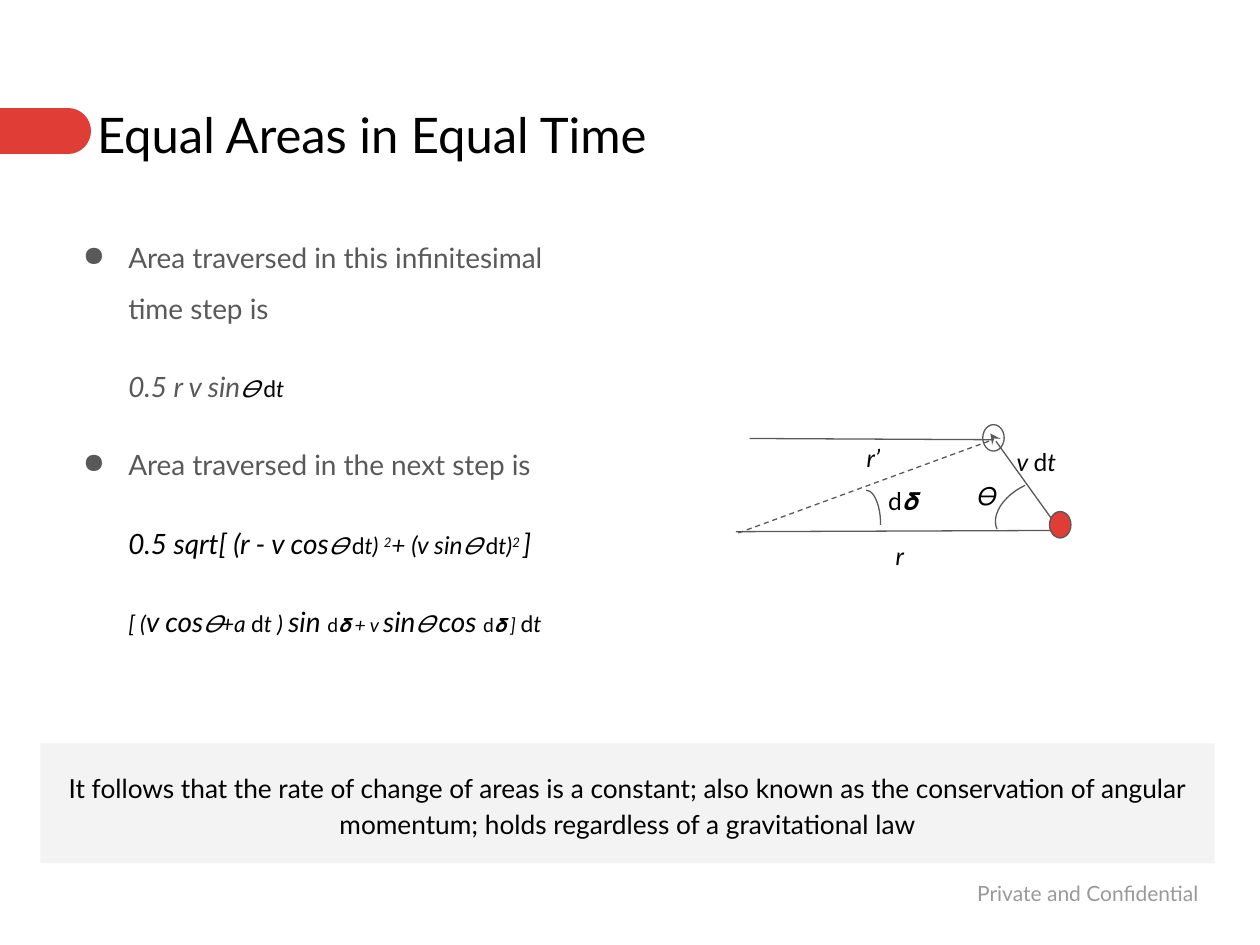
from lxml.etree import SubElement
from pptx import Presentation
from pptx.dml.color import RGBColor
from pptx.enum.dml import MSO_LINE
from pptx.enum.shapes import MSO_CONNECTOR, MSO_SHAPE
from pptx.enum.text import MSO_ANCHOR, MSO_AUTO_SIZE, PP_ALIGN
from pptx.oxml.ns import qn
from pptx.util import Inches, Pt

RED, GRAY, BLACK = "E03D37", "595959", "000000"
FRAME = dict(word_wrap=True, auto_size=MSO_AUTO_SIZE.NONE, vertical_anchor=MSO_ANCHOR.TOP,
             margin_left=Inches(0.1), margin_right=Inches(0.1),
             margin_top=Inches(0.1), margin_bottom=Inches(0.1))


def color(value):
    """Turn a hex string into a colour."""
    return RGBColor.from_string(value)


def apply(target, **values):
    """Set each named value on the target."""
    for name, value in values.items():
        setattr(target, name, value)


def place(shape, box):
    """Move and size a shape to a box in inches."""
    apply(shape, **dict(zip(("left", "top", "width", "height"), map(Inches, box))))


def add_run(paragraph, text, size, hex_color=BLACK, italic=False, baseline=0):
    """Append a formatted run to a paragraph."""
    run = paragraph.add_run()
    run.text = text
    apply(run.font, name="Lato", size=Pt(size), italic=italic)
    run.font.color.rgb = color(hex_color)
    if baseline:
        run.font._element.set("baseline", str(baseline * 1000))


def add_text(slide, box, runs, align=PP_ALIGN.LEFT, **frame_values):
    """Add a one-paragraph text box."""
    text_box = slide.shapes.add_textbox(*map(Inches, box))
    apply(text_box.text_frame, **{**FRAME, **frame_values})
    paragraph = text_box.text_frame.paragraphs[0]
    paragraph.alignment = align
    for run in runs:
        add_run(paragraph, *run)


def add_line(slide, start, end, hex_color=GRAY, width=0.75, dash=None):
    """Add a straight line without a shadow."""
    line = slide.shapes.add_connector(MSO_CONNECTOR.STRAIGHT, *map(Inches, (*start, *end)))
    SubElement(line._element.spPr, qn("a:effectLst"))
    line.line.color.rgb = color(hex_color)
    apply(line.line, width=Pt(width), dash_style=dash)
    return line


def add_figure(slide, kind, box, fill=None, outline=GRAY, rotation=0):
    """Add a preset shape with an optional fill and outline."""
    shape = slide.shapes.add_shape(kind, *map(Inches, box))
    shape.shadow.inherit = False
    shape.rotation = rotation
    for part, value in ((shape.fill, fill), (shape.line.fill, outline)):
        if value:
            part.solid()
            part.fore_color.rgb = color(value)
        else:
            part.background()
    if outline:
        shape.line.width = Pt(0.75)
    return shape


def add_title(slide, box):
    """Place the slide title and its rounded red marker."""
    marker = add_line(slide, (-0.07, 1.04), (0.54, 1.04), RED, 26.25)
    marker.line._ln.set("cap", "rnd")
    title = slide.shapes.title
    place(title, box)
    apply(title.text_frame, **FRAME)
    paragraph = title.text_frame.paragraphs[0]
    paragraph.alignment = PP_ALIGN.LEFT
    add_run(paragraph, "Equal Areas in Equal Time", 28)


def add_derivation(slide, box):
    """Write the bulleted statements and their formulas."""
    theta, upright, time = ("𝛳 ", 13, BLACK, True), ("d", 13), ("t", 13, BLACK, True)
    small_d = ("d", 11)
    statements = [
        (True, [("Area traversed in this infinitesimal time step is", 16, GRAY)]),
        (False, [("0.5 r v sin", 16, GRAY, True), theta, upright, time]),
        (True, [("Area traversed in the next step is", 16, GRAY)]),
        (False, [("0.5 sqrt[ (r - v cos", 16, BLACK, True), theta, upright,
                 ("t) ", 13, BLACK, True), ("2", 13, BLACK, True, 30),
                 ("+ (v sin", 14, BLACK, True), theta, upright,
                 ("t)", 13, BLACK, True), ("2 ", 13, BLACK, True, 30),
                 ("]", 16, BLACK, True)]),
        (False, [("[ (", 13, BLACK, True), ("v cos", 16, BLACK, True),
                 ("𝛳+a ", 13, BLACK, True), upright, ("t ) ", 13, BLACK, True),
                 ("sin ", 16, BLACK, True), small_d, ("𝛅 + v ", 11, BLACK, True),
                 ("sin", 16, BLACK, True), theta, ("cos ", 16, BLACK, True),
                 small_d, ("𝛅 ] ", 11, BLACK, True), upright, time]),
    ]
    frame = slide.shapes.add_textbox(*map(Inches, box)).text_frame
    apply(frame, **FRAME)
    for index, (bulleted, runs) in enumerate(statements):
        paragraph = frame.add_paragraph() if index else frame.paragraphs[0]
        apply(paragraph, line_spacing=1.5, space_before=Pt(16 if index else 0))
        properties = paragraph._p.get_or_add_pPr()
        properties.set("marL", str(Inches(0.5)))
        properties.set("indent", str(Inches(-0.36 if bulleted else 0)))
        if bulleted:
            bullet_color = SubElement(properties, qn("a:buClr"))
            SubElement(bullet_color, qn("a:srgbClr"), val=GRAY)
            SubElement(properties, qn("a:buChar"), char="●")
        for run in runs:
            add_run(paragraph, *run)


def add_orbit_diagram(slide, box):
    """Draw the swept triangle, its angles and its labels."""
    left, top = box[:2]

    def point(x, y):
        return left + x, top + y

    add_line(slide, point(0, 0.85), point(2.58, 0.84))
    velocity = add_line(slide, point(2.02, 0.07), point(2.58, 0.85))
    SubElement(velocity.line._ln, qn("a:headEnd"), type="stealth")
    add_line(slide, point(0.02, 0.86), point(2.04, 0.12), dash=MSO_LINE.DASH)
    add_line(slide, point(2.05, 0.12), point(0.11, 0.11))

    add_figure(slide, MSO_SHAPE.ARC, (*point(2.17, 0.33), 0.44, 0.7), rotation=244.6)
    add_figure(slide, MSO_SHAPE.ARC, (*point(0.92, 0.52), 0.23, 0.55))
    for x, y, fill in ((2.49, 0.69, RED), (1.96, 0, None)):
        add_figure(slide, MSO_SHAPE.OVAL, (*point(x, y), 0.17, 0.21), fill)

    labels = [
        (1.82, 0.35, [("𝛳", 14)]),
        (1.17, 0.82, [("r", 14, BLACK, True)]),
        (2.13, 0.08, [("v ", 14, BLACK, True), ("d", 14), ("t", 14, BLACK, True)]),
        (1.11, 0.39, [("d", 14), ("𝛅", 14, BLACK, True)]),
        (0.94, 0.05, [("r’", 14, BLACK, True)]),
    ]
    for x, y, runs in labels:
        add_text(slide, (*point(x, y), 0.8, 0.44), runs)


def add_conclusion(slide, box):
    """Add the shaded concluding statement."""
    banner = add_figure(slide, MSO_SHAPE.RECTANGLE, box, "F3F3F3", None)
    apply(banner.text_frame, **{**FRAME, "vertical_anchor": MSO_ANCHOR.MIDDLE})
    paragraph = banner.text_frame.paragraphs[0]
    apply(paragraph, alignment=PP_ALIGN.CENTER, line_spacing=1.15)
    add_run(paragraph, "It follows that the rate of change of areas is a constant; also known as "
            "the conservation of angular momentum; holds regardless of a gravitational law", 15)


def add_footer(slide, box):
    """Add the confidentiality note."""
    add_text(slide, box, [("Private and Confidential", 12, "999999")],
             PP_ALIGN.RIGHT, vertical_anchor=MSO_ANCHOR.MIDDLE)


def main():
    """Build and save the presentation."""
    presentation = Presentation()
    apply(presentation, slide_width=Inches(10), slide_height=Inches(7.5))
    slide = presentation.slides.add_slide(presentation.slide_layouts[5])
    add_title(slide, (0.67, 0.73, 9.32, 0.83))
    add_derivation(slide, (0.42, 1.68, 4.37, 4.1))
    add_conclusion(slide, (0.32, 5.9, 9.32, 0.95))
    add_orbit_diagram(slide, (5.84, 3.37, 2.66, 1.26))
    add_footer(slide, (7.32, 6.85, 2.29, 0.48))
    presentation.save("out.pptx")


if __name__ == "__main__":
    main()
